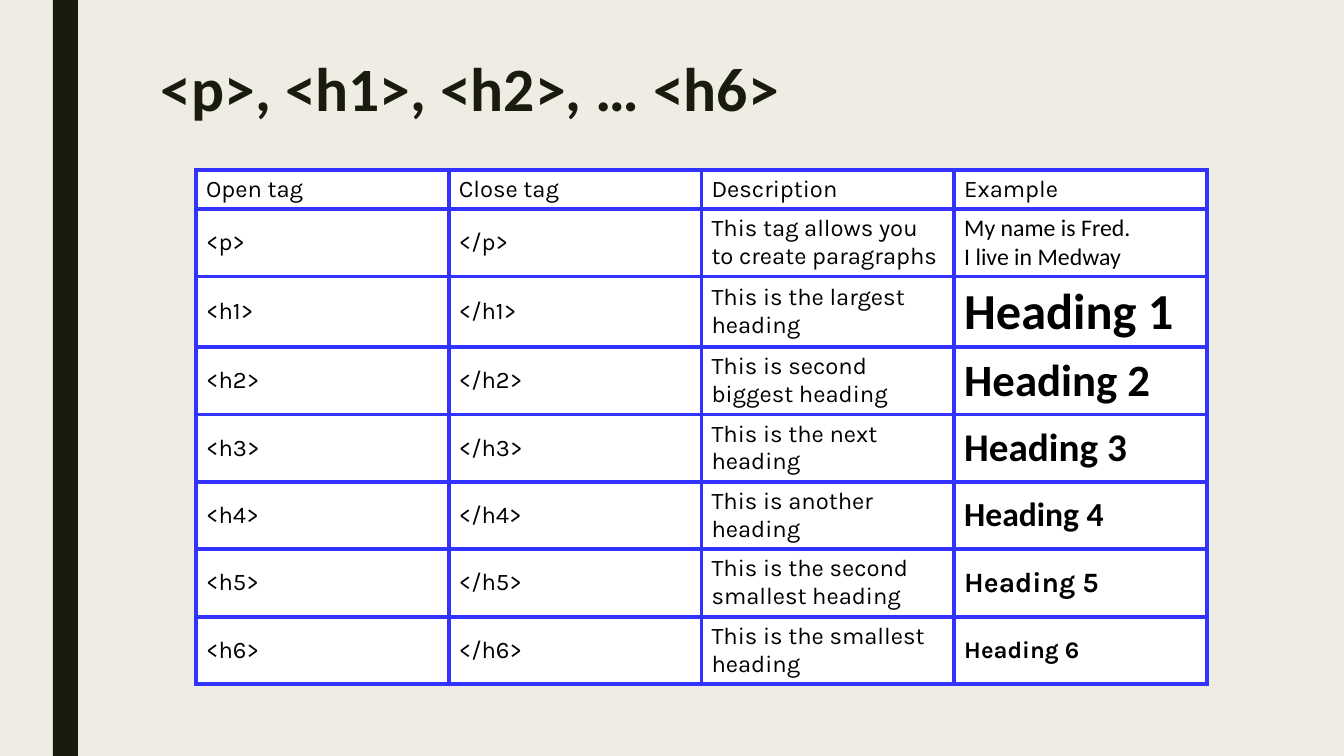
from lxml.etree import SubElement
from pptx import Presentation
from pptx.dml.color import RGBColor
from pptx.enum.shapes import MSO_SHAPE as Preset
from pptx.enum.text import MSO_ANCHOR as Anchor
from pptx.oxml.ns import qn
from pptx.util import Pt

EMU_PER_PX = 914400 / 100.8
COLORS = {"background": "EFEDE3", "ink": "191B0E", "text": "000000",
          "cell": "FFFFFF", "border": "3333FF"}
BODY_SIZE = 17
HEADER = ("Open tag", "Close tag", "Description", "Example")
TAGS = [
    ("p", "This tag allows you to create paragraphs",
     "My name is Fred.\nI live in Medway", "Calibri", BODY_SIZE, False),
    ("h1", "This is the largest heading", "Heading 1", "Calibri", 36, True),
    ("h2", "This is second biggest heading", "Heading 2", "Calibri", 32, True),
    ("h3", "This is the next heading", "Heading 3", "Calibri", 28, True),
    ("h4", "This is another heading", "Heading 4", "Calibri", 24, True),
    ("h5", "This is the second smallest heading", "Heading 5", "Karla", 20, True),
    ("h6", "This is the smallest heading", "Heading 6", "Karla", BODY_SIZE, True),
]


def px(length):
    """Turn a length in px into EMU."""
    return round(length * EMU_PER_PX)


def rgb(name):
    """Look up a named colour."""
    return RGBColor.from_string(COLORS[name])


def write(frame, words, face, size, color, bold=False):
    """Put one formatted paragraph into a text frame."""
    frame.word_wrap = True
    paragraph = frame.paragraphs[0]
    paragraph.text = words
    for run in paragraph.runs:
        run.font.name = face
        run.font.size = Pt(size)
        run.font.bold = bold
        run.font.color.rgb = rgb(color)
    return paragraph


def add_side_bar(slide, left, top, width, height):
    """Draw the dark vertical bar."""
    bar = slide.shapes.add_shape(Preset.RECTANGLE, px(left), px(top), px(width), px(height))
    bar.shadow.inherit = False
    bar.fill.solid()
    bar.fill.fore_color.rgb = rgb("ink")
    bar.line.fill.background()


def add_title(slide, left, top, width, height):
    """Write the slide title."""
    title = slide.shapes.add_textbox(px(left), px(top), px(width), px(height))
    heading = write(title.text_frame, "<p>, <h1>, <h2>, … <h6>", "Calibri", 44, "ink", True)
    heading.line_spacing = 0.89


def style_cell(cell):
    """Fill a cell and outline its four sides."""
    cell.vertical_anchor = Anchor.MIDDLE
    properties = cell._tc.get_or_add_tcPr()
    for side in ("lnL", "lnR", "lnT", "lnB"):
        edge = SubElement(properties, qn(f"a:{side}"), w=str(Pt(3)))
        paint = SubElement(edge, qn("a:solidFill"))
        SubElement(paint, qn("a:srgbClr"), val=COLORS["border"])
    cell.fill.solid()
    cell.fill.fore_color.rgb = rgb("cell")


def add_tag_table(slide, left, top, width, height, header_height):
    """Build the table of tags with a header row and equal tag rows."""
    table = slide.shapes.add_table(len(TAGS) + 1, len(HEADER), px(left), px(top),
                                   px(width), px(height)).table
    table.first_row = table.horz_banding = False
    for column in table.columns:
        column.width = px(width / len(HEADER))
    for row in table.rows:
        row.height = px((height - header_height) / len(TAGS))
    table.rows[0].height = px(header_height)
    for cell in table.iter_cells():
        style_cell(cell)

    for column, label in enumerate(HEADER):
        write(table.cell(0, column).text_frame, label, "Karla", BODY_SIZE, "text")
    for row, (tag, description, example, face, size, bold) in enumerate(TAGS, 1):
        for column, words in enumerate((f"<{tag}>", f"</{tag}>", description)):
            write(table.cell(row, column).text_frame, words, "Karla", BODY_SIZE, "text")
        write(table.cell(row, 3).text_frame, example, face, size, "text", bold)


def main():
    """Build and save the slide."""
    deck = Presentation()
    deck.slide_width, deck.slide_height = px(1344), px(756)
    slide = deck.slides.add_slide(deck.slide_layouts[6])
    slide.background.fill.solid()
    slide.background.fill.fore_color.rgb = rgb("background")
    add_side_bar(slide, 53, 0, 25, 756)
    add_title(slide, 151, 54, 1101, 85)
    add_tag_table(slide, 196, 170, 1011, 511, 39)
    deck.save("out.pptx")


if __name__ == "__main__":
    main()
